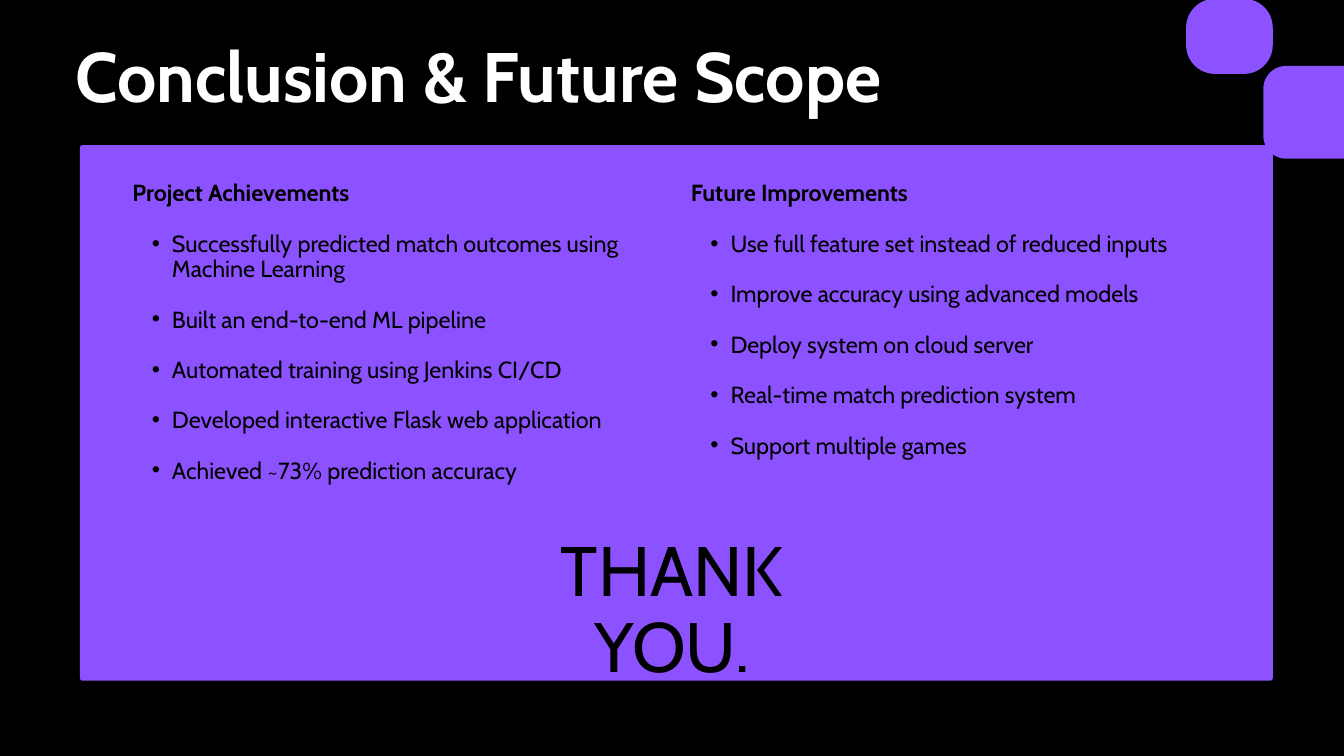
from lxml.etree import SubElement
from pptx import Presentation
from pptx.dml.color import RGBColor
from pptx.enum.shapes import MSO_SHAPE
from pptx.enum.text import PP_ALIGN
from pptx.oxml.ns import qn
from pptx.util import Pt

BLACK, WHITE, PURPLE = "000000", "FFFFFF", "8C52FF"
HEADING = {"size": Pt(25), "bold": True}
ITEM = {"size": Pt(25), "bold": False}
TITLE = {"size": Pt(75), "bold": True}
CLOSING = {"size": Pt(75), "bold": False}

ACHIEVEMENTS = [
    "Successfully predicted match outcomes using Machine Learning",
    "Built an end-to-end ML pipeline",
    "Automated training using Jenkins CI/CD",
    "Developed interactive Flask web application",
    "Achieved ~73% prediction accuracy",
]
IMPROVEMENTS = [
    "Use full feature set instead of reduced inputs",
    "Improve accuracy using advanced models",
    "Deploy system on cloud server",
    "Real-time match prediction system",
    "Support multiple games",
]


def paint(color_format, hex_color):
    """Give a fill or font colour its hex value."""
    color_format.rgb = RGBColor.from_string(hex_color)


def add_tile(slide, left, top, width, height, radius):
    """Add a purple rectangle with corners of the given radius."""
    tile = slide.shapes.add_shape(
        MSO_SHAPE.ROUNDED_RECTANGLE, Pt(left), Pt(top), Pt(width), Pt(height))
    tile.adjustments[0] = radius / min(width, height)
    tile.shadow.inherit = False
    tile.fill.solid()
    paint(tile.fill.fore_color, PURPLE)
    tile.line.fill.background()


def add_frame(slide, left, top, width, height):
    """Add a wrapping text box without margins and return its text frame."""
    frame = slide.shapes.add_textbox(
        Pt(left), Pt(top), Pt(width), Pt(height)).text_frame
    settings = {"word_wrap": True, "margin_left": 0, "margin_top": 0,
                "margin_right": 0, "margin_bottom": 0}
    for name, value in settings.items():
        setattr(frame, name, value)
    return frame


def write(paragraph, text, font_format, color, leading):
    """Fill a paragraph with one formatted run on a fixed line height."""
    paragraph.line_spacing = Pt(leading)
    run = paragraph.add_run()
    run.text = text
    for name, value in {"name": "Cabin", **font_format}.items():
        setattr(run.font, name, value)
    paint(run.font.color, color)


def add_bullet(paragraph):
    """Turn a paragraph into an indented bullet item."""
    paragraph.level = 1
    properties = paragraph._p.get_or_add_pPr()
    properties.set("marL", str(Pt(42.5)))
    properties.set("indent", str(Pt(-21.6)))
    SubElement(properties, qn("a:buFont"), typeface="Arial")
    SubElement(properties, qn("a:buChar"), char="•")


def add_column(slide, left, top, width, height, heading, items):
    """Add a bold heading followed by its bullet items."""
    frame = add_frame(slide, left, top, width, height)
    write(frame.paragraphs[0], heading, HEADING, BLACK, 27)
    for item in items:
        paragraph = frame.add_paragraph()
        add_bullet(paragraph)
        paragraph.space_before = Pt(27)
        write(paragraph, item, ITEM, BLACK, 27)


def add_title(slide, left, top, width, height):
    """Add the slide title."""
    frame = add_frame(slide, left, top, width, height)
    write(frame.paragraphs[0], "Conclusion & Future Scope", TITLE, WHITE, 81)


def add_closing(slide, left, top, width, height):
    """Add the centred closing words."""
    thanks = add_frame(slide, left, top, width, height).paragraphs[0]
    thanks.alignment = PP_ALIGN.CENTER
    write(thanks, "THANK YOU.", CLOSING, BLACK, 81)


def add_panel(slide, left, top, width, height):
    """Add the purple panel with both columns and the closing words."""
    add_tile(slide, left, top, width, height, 2.7)
    columns = [("Project Achievements", ACHIEVEMENTS),
               ("Future Improvements", IMPROVEMENTS)]
    for index, (heading, items) in enumerate(columns):
        add_column(slide, left + 56.1 + index * 598.4, top + 38.9, 558, 316,
                   heading, items)
    add_closing(slide, left + (width - 419) / 2 - 4.7, top + 417.6, 419, 82)


def add_corner(slide, left, top):
    """Add the two tiles that decorate the upper right corner."""
    add_tile(slide, left, top, 92.9, 80.6, 31)
    add_tile(slide, left + 82.8, top + 72, 119.5, 99.4, 24.5)


def main():
    """Build and save the slide."""
    presentation = Presentation()
    presentation.slide_width = Pt(1440)
    presentation.slide_height = Pt(810)
    slide = presentation.slides.add_slide(presentation.slide_layouts[6])
    slide.background.fill.solid()
    paint(slide.background.fill.fore_color, BLACK)
    add_panel(slide, 85.7, 155.5, 1278, 573.8)
    add_corner(slide, 1270.8, -1.4)
    add_title(slide, 80.6, 43.9, 1347.8, 82)
    presentation.save("out.pptx")


if __name__ == "__main__":
    main()
